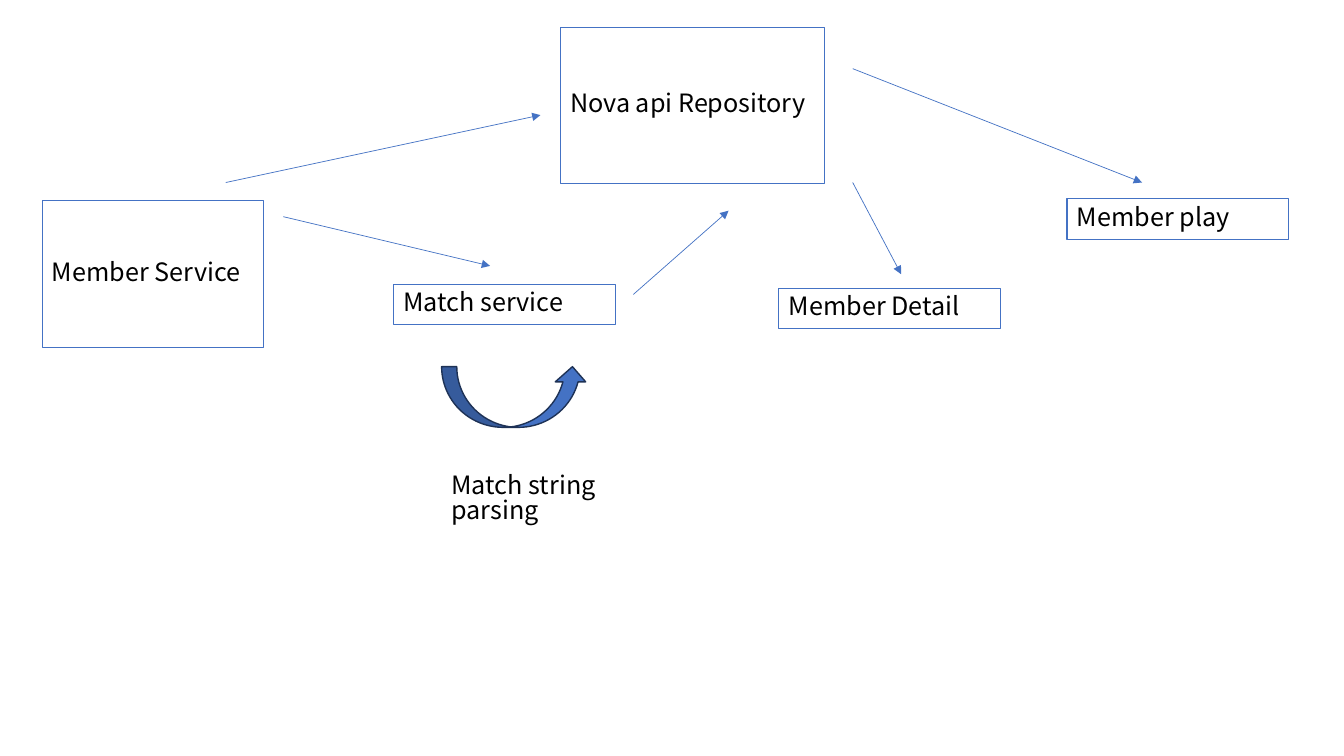
from lxml import etree
from pptx import Presentation
from pptx.dml.color import RGBColor
from pptx.enum.shapes import MSO_CONNECTOR, MSO_SHAPE
from pptx.enum.text import MSO_ANCHOR, PP_ALIGN
from pptx.oxml.ns import qn
from pptx.util import Cm, Pt

COLORS = {"blue": "4472C4", "navy": "1E3256", "text": "000000"}
FONT = "Noto Sans CJK KR"
FONT_FORMAT = {"name": FONT, "size": Pt(18)}
FRAME_FORMAT = {"word_wrap": True, "vertical_anchor": MSO_ANCHOR.MIDDLE}
PARAGRAPH_FORMAT = {"alignment": PP_ALIGN.LEFT, "line_spacing": 0.82}

# All lengths are in centimetres: left, top, width, height
LABEL_WIDTH, LABEL_HEIGHT = 5.59, 1.02
BOXES = [
    ("Member Service", 1.06, 5.05, LABEL_WIDTH, 3.71),
    ("Nova api Repository", 14.12, 0.7, 6.66, 3.92),
    ("Match service", 9.92, 7.16, LABEL_WIDTH, LABEL_HEIGHT),
    ("Member Detail", 19.63, 7.26, LABEL_WIDTH, LABEL_HEIGHT),
    ("Member play", 26.89, 5.01, LABEL_WIDTH, LABEL_HEIGHT),
]
# Start x, start y, end x, end y
ARROWS = [
    (5.69, 4.6, 13.62, 2.9),    # Member Service to Repository
    (7.14, 5.46, 12.35, 6.7),   # Member Service to Match service
    (15.96, 7.42, 18.36, 5.31), # Match service to Repository
    (21.49, 4.6, 22.71, 6.91),  # Repository to Member Detail
    (21.49, 1.73, 28.78, 4.6),  # Repository to Member play
]
LOOP_ARROW = (11.13, 9.24, 3.68, 1.53)
LOOP_CAPTION = ("Match string parsing", 11.13, 11.84, 6.35, 1.8)


def color(name):
    return RGBColor.from_string(COLORS[name])


def apply_format(target, values):
    for name, value in values.items():
        setattr(target, name, value)


def write_text(shape, text, anchor=MSO_ANCHOR.MIDDLE):
    apply_format(shape.text_frame, FRAME_FORMAT | {"vertical_anchor": anchor})
    paragraph = shape.text_frame.paragraphs[0]
    apply_format(paragraph, PARAGRAPH_FORMAT)
    run = paragraph.add_run()
    run.text = text
    apply_format(run.font, FONT_FORMAT)
    run.font.color.rgb = color("text")


def add_outlined_shape(slide, kind, bounds, line_color, line_width):
    shape = slide.shapes.add_shape(kind, *map(Cm, bounds))
    shape.shadow.inherit = False
    shape.line.color.rgb = color(line_color)
    shape.line.width = Pt(line_width)
    return shape


def add_box(slide, text, *bounds):
    box = add_outlined_shape(slide, MSO_SHAPE.RECTANGLE, bounds, "blue", 0.75)
    box.fill.background()
    write_text(box, text)


def add_arrow(slide, ends):
    arrow = slide.shapes.add_connector(MSO_CONNECTOR.STRAIGHT, *map(Cm, ends))
    arrow.line.color.rgb = color("blue")
    arrow.line.width = Pt(0.5)
    etree.SubElement(arrow.line._get_or_add_ln(), qn("a:tailEnd"), type="triangle")
    etree.SubElement(arrow._element.spPr, qn("a:effectLst"))


def main():
    presentation = Presentation()
    presentation.slide_width, presentation.slide_height = Cm(33.87), Cm(19.05)
    slide = presentation.slides.add_slide(presentation.slide_layouts[6])

    for box in BOXES:
        add_box(slide, *box)
    for ends in ARROWS:
        add_arrow(slide, ends)

    loop = add_outlined_shape(slide, MSO_SHAPE.CURVED_UP_ARROW, LOOP_ARROW, "navy", 1)
    loop.fill.solid()
    loop.fill.fore_color.rgb = color("blue")

    text, *bounds = LOOP_CAPTION
    caption = slide.shapes.add_textbox(*map(Cm, bounds))
    write_text(caption, text, MSO_ANCHOR.TOP)

    presentation.save("out.pptx")


if __name__ == "__main__":
    main()
